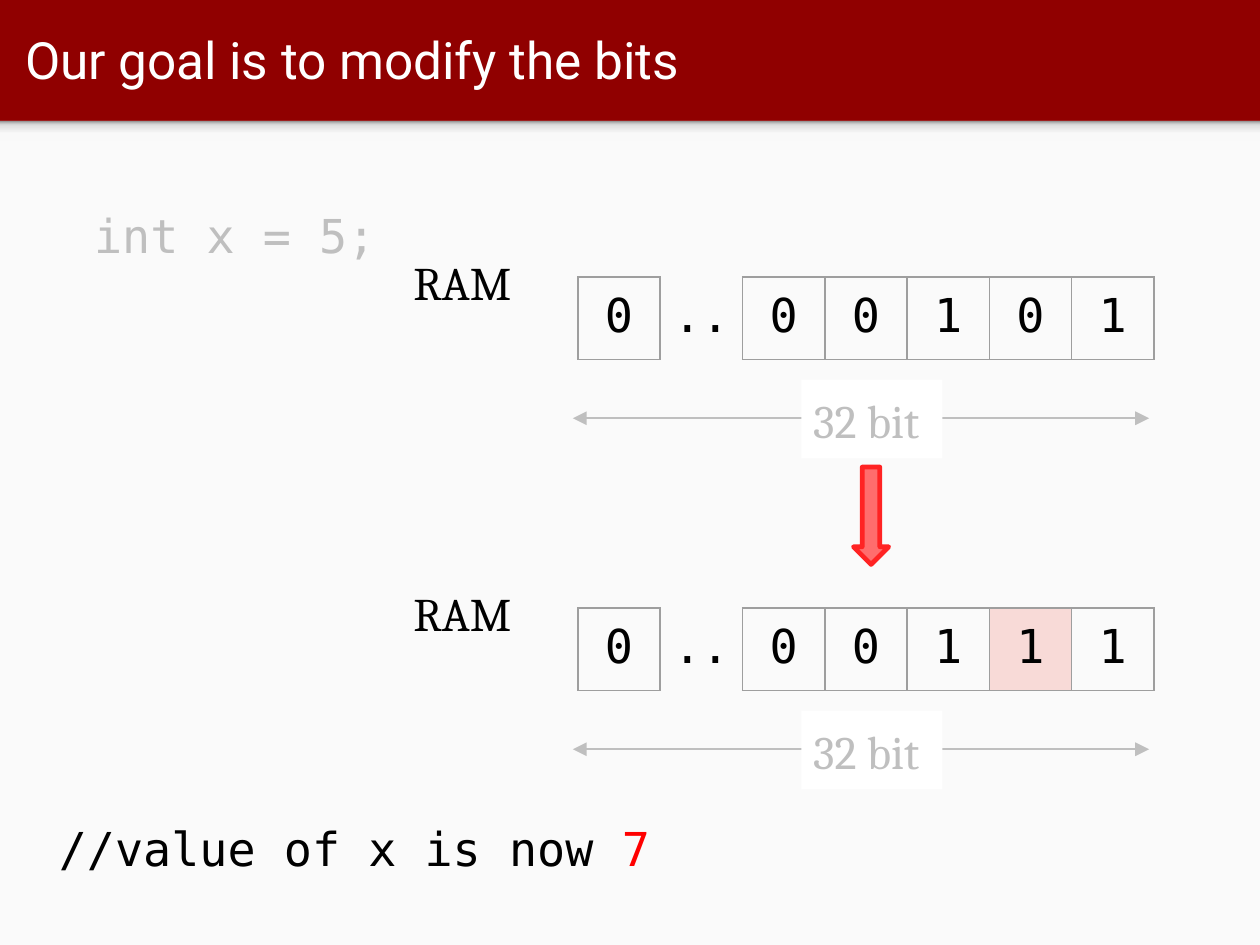
import copy

import pptx
import pptx.dml.color
import pptx.enum.shapes
import pptx.enum.text
import pptx.oxml
import pptx.oxml.ns
import pptx.util

Inches = pptx.util.Inches
Pt = pptx.util.Pt
SHAPES = pptx.enum.shapes.MSO_SHAPE
ALIGN = pptx.enum.text.PP_ALIGN
ANCHOR = pptx.enum.text.MSO_ANCHOR

COLORS = {
    "banner": "900000", "page": "FAFAFA", "white": "FFFFFF", "black": "000000",
    "muted": "BFBFBF", "border": "9E9E9E", "changed": "F8DAD7", "red": "FF0000",
    "arrow": "FF6D6D", "arrow_edge": "FF2323",
    "shade0": "F9F9F9", "shade1": "DEDEDE", "shade2": "999999",
}
MONO, SERIF, SANS = "DejaVu Sans Mono", "Cambria", "Roboto"
MARGIN = Inches(0.07)


def rgb(name):
    return pptx.dml.color.RGBColor.from_string(COLORS[name])


def drawing_xml(tag, attributes="", content=""):
    namespace = pptx.oxml.ns.nsdecls("a")
    return pptx.oxml.parse_xml(f"<a:{tag} {namespace} {attributes}>{content}</a:{tag}>")


class SlideBuilder:
    """Draws styled elements on one slide."""

    def __init__(self, slide):
        self.slide = slide
        self.shapes = slide.shapes
        slide.background.fill.solid()
        slide.background.fill.fore_color.rgb = rgb("banner")

    def format_frame(self, frame, parts, font, size=20):
        frame.word_wrap = True
        frame.margin_left = frame.margin_right = MARGIN
        frame.margin_top = frame.margin_bottom = MARGIN
        paragraph = frame.paragraphs[0]
        paragraph.alignment = ALIGN.LEFT
        for text, color in parts:
            run = paragraph.add_run()
            run.text = text
            self.format_run(run, font, size, color)

    def format_run(self, run, font, size, color):
        run.font.name = font
        run.font.size = Pt(size)
        run.font.color.rgb = rgb(color)

    def text(self, left, top, width, height, parts, font, size=20, anchor=ANCHOR.TOP):
        box = self.shapes.add_textbox(Inches(left), Inches(top), Inches(width), Inches(height))
        self.format_frame(box.text_frame, parts, font, size)
        box.text_frame.vertical_anchor = anchor

    def shape(self, kind, left, top, width, height, fill, line=None):
        shape = self.shapes.add_shape(
            kind, Inches(left), Inches(top), Inches(width), Inches(height))
        shape.shadow.inherit = False
        shape.fill.solid()
        shape.fill.fore_color.rgb = rgb(fill)
        if line:
            shape.line.color.rgb = rgb(line)
            shape.line.width = Pt(2)
        else:
            shape.line.fill.background()
        return shape

    def label(self, left, top, width, height, text, color):
        shape = self.shape(SHAPES.RECTANGLE, left, top, width, height, "white")
        self.format_frame(shape.text_frame, [(text, color)], SERIF)
        shape.text_frame.vertical_anchor = ANCHOR.TOP

    def gradient(self, left, top, width, height, stops):
        shape = self.shape(SHAPES.RECTANGLE, left, top, width, height, "page")
        shape.fill.gradient()
        shape.fill.gradient_angle = 90
        stop_list = shape._element.spPr.find(".//" + pptx.oxml.ns.qn("a:gsLst"))
        for _ in range(len(stops) - len(stop_list)):
            stop_list.append(copy.deepcopy(stop_list[0]))
        for stop, (position, color) in zip(shape.fill.gradient_stops, stops):
            stop.position = position
            stop.color.rgb = rgb(color)

    def double_arrow(self, left, right, y):
        line = self.shapes.add_connector(
            pptx.enum.shapes.MSO_CONNECTOR.STRAIGHT,
            Inches(left), Inches(y), Inches(right), Inches(y))
        line.line.color.rgb = rgb("muted")
        line.line.width = Pt(0.75)
        outline = line.line._get_or_add_ln()
        for end in ("headEnd", "tailEnd"):
            outline.append(drawing_xml(end, 'type="triangle"'))
        line._element.spPr.append(drawing_xml("effectLst"))

    def bit_table(self, left, top, cell_size, bits, changed):
        size = Inches(cell_size)
        frame = self.shapes.add_table(
            1, len(bits), Inches(left), Inches(top), size * len(bits), size)
        table = frame.table
        table.first_row = table.horz_banding = False
        for index, bit in enumerate(bits):
            table.columns[index].width = size
            cell = table.cell(0, index)
            cell.margin_left = cell.margin_right = MARGIN
            cell.margin_top = cell.margin_bottom = MARGIN
            paragraph = cell.text_frame.paragraphs[0]
            paragraph.text = bit
            paragraph.alignment = ALIGN.CENTER
            self.format_run(paragraph.runs[0], MONO, 20, "black")
            self.cell_borders(cell, "LR" if bit == ".." else "LRTB")
            if index == changed:
                cell.fill.solid()
                cell.fill.fore_color.rgb = rgb("changed")
            else:
                cell.fill.background()

    def cell_borders(self, cell, visible):
        properties = cell._tc.get_or_add_tcPr()
        solid = f'<a:solidFill><a:srgbClr val="{COLORS["border"]}"/></a:solidFill>'
        for side in "LRTB":
            content = solid if side in visible else "<a:noFill/>"
            properties.append(drawing_xml(f"ln{side}", f'w="{Pt(0.75)}"', content))

    def memory(self, top, bits, changed=None):
        self.double_arrow(3.41, 6.84, top + 0.84)
        self.bit_table(3.44, top, 0.49, bits, changed)
        self.text(2.39, top - 0.21, 0.8, 0.51, [("RAM", "black")], SERIF)
        self.label(4.77, top + 0.61, 0.84, 0.47, "32 bit", "muted")


def main():
    presentation = pptx.Presentation()
    presentation.slide_width = Inches(7.5)
    presentation.slide_height = presentation.slide_width * 3 // 4
    builder = SlideBuilder(presentation.slides.add_slide(presentation.slide_layouts[6]))

    # Page area below the banner, with a soft shade at its top
    builder.shape(SHAPES.RECTANGLE, 0, 0.72, 7.5, 4.91, "page")
    builder.gradient(0, 0.72, 7.5, 0.12, [
        (0, "shade0"), (0.36, "shade0"), (0.8, "shade1"), (1, "shade2")])

    # Title and starting code
    builder.text(0.08, 0.02, 7.24, 0.66, [("Our goal is to modify the bits", "white")],
                 SANS, 22, ANCHOR.MIDDLE)
    builder.text(0.49, 1.16, 1.9, 0.49, [("int x = 5;", "muted")], MONO)

    # Memory before and after the change
    builder.memory(1.65, ["0", "..", "0", "0", "1", "0", "1"])
    builder.memory(3.62, ["0", "..", "0", "0", "1", "1", "1"], changed=5)
    builder.shape(SHAPES.DOWN_ARROW, 5.08, 2.78, 0.21, 0.58, "arrow", "arrow_edge")

    # Result
    builder.text(0.28, 4.81, 3.69, 0.49,
                 [("//value of x is now ", "black"), ("7", "red")], MONO)

    presentation.save("out.pptx")


if __name__ == "__main__":
    main()
